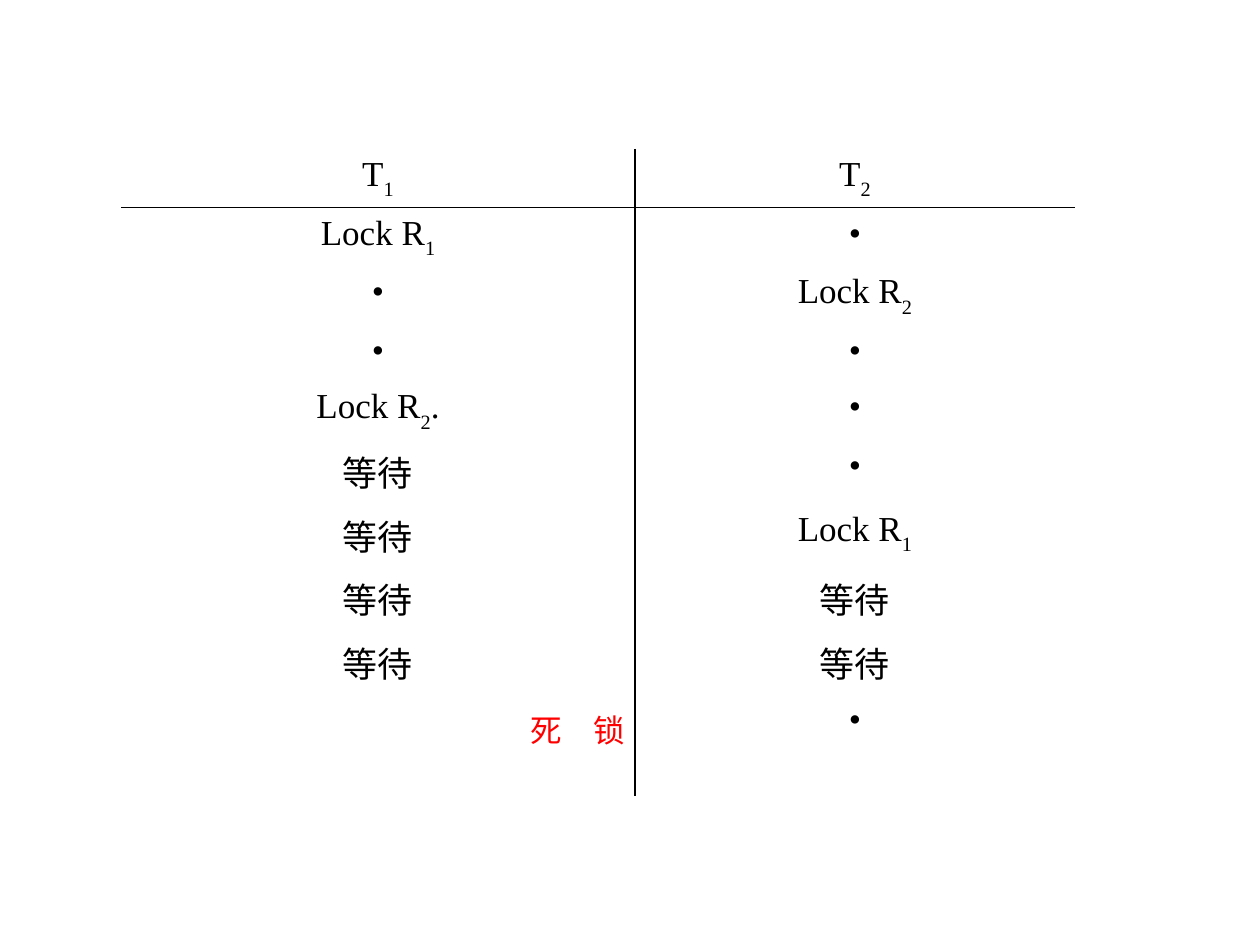
from typing import NamedTuple

from lxml.etree import SubElement
from pptx import Presentation
from pptx.dml.color import RGBColor
from pptx.enum.text import MSO_AUTO_SIZE, PP_ALIGN
from pptx.oxml.ns import qn
from pptx.util import Cm, Pt

BLACK = RGBColor(0, 0, 0)
RED = RGBColor(255, 0, 0)
FONT = "Times New Roman"
HANGING = Cm(0.95)


class Step(NamedTuple):
    text: str = ""
    subscript: str = ""
    suffix: str = ""


DOT = Step("•")
WAIT = Step("等待")
LOCK_R1 = Step("Lock R", "1")
LOCK_R2 = Step("Lock R", "2")

# One row per moment: transaction T1, transaction T2
SCHEDULE = [
    (Step("T", "1"), Step("T", "2")),
    (LOCK_R1, DOT),
    (DOT, LOCK_R2),
    (DOT, DOT),
    (LOCK_R2._replace(suffix="."), DOT),
    (WAIT, DOT),
    (WAIT, LOCK_R1),
    (WAIT, WAIT),
    (WAIT, WAIT),
    (Step(), DOT),
]


def write_step(paragraph, step: Step, size: int, color: RGBColor) -> None:
    paragraph.alignment = PP_ALIGN.CENTER
    properties = paragraph._p.get_or_add_pPr()
    properties.set("marL", str(HANGING))
    properties.set("indent", str(-HANGING))
    paragraph.font.name = FONT
    paragraph.font.size = Pt(size)
    paragraph.font.color.rgb = color
    for part in step:
        if part:
            run = paragraph.add_run()
            run.text = part
            if part is step.subscript:
                run._r.get_or_add_rPr().set("baseline", "-30000")


def set_borders(cell, ruled: set[str]) -> None:
    """Rule the given sides (L, R, T, B) and leave the others open."""
    for side in "LRTB":
        line = SubElement(cell._tc.get_or_add_tcPr(), qn(f"a:ln{side}"), w=str(Pt(1)))
        if side in ruled:
            fill = SubElement(line, qn("a:solidFill"))
            SubElement(fill, qn("a:srgbClr"), val=str(BLACK))
        else:
            SubElement(line, qn("a:noFill"))


def add_schedule(slide) -> None:
    table = slide.shapes.add_table(
        len(SCHEDULE), 2, Cm(2.44), Cm(3), Cm(19.23), Cm(12.24)
    ).table
    table.first_row = table.horz_banding = False
    table.columns[0].width, table.columns[1].width = Cm(10.36), Cm(8.87)
    for row, steps in enumerate(SCHEDULE):
        is_last = row == len(SCHEDULE) - 1
        table.rows[row].height = Cm(2.06 if is_last else 1.13)
        for column, step in enumerate(steps):
            cell = table.cell(row, column)
            ruled = {"R" if column == 0 else "L"}
            if row < 2:
                ruled.add("B" if row == 0 else "T")
            set_borders(cell, ruled)
            cell.fill.background()
            write_step(cell.text_frame.paragraphs[0], step, 20, BLACK)


def add_deadlock_label(slide) -> None:
    frame = slide.shapes.add_textbox(Cm(10.44), Cm(14.2), Cm(2.41), Cm(1.02)).text_frame
    frame.word_wrap = False
    frame.auto_size = MSO_AUTO_SIZE.SHAPE_TO_FIT_TEXT
    write_step(frame.paragraphs[0], Step("死　锁"), 18, RED)


def main() -> None:
    presentation = Presentation()
    presentation.slide_width, presentation.slide_height = Cm(25.4), Cm(19.05)
    slide = presentation.slides.add_slide(presentation.slide_layouts[6])
    add_schedule(slide)
    add_deadlock_label(slide)
    presentation.save("out.pptx")


if __name__ == "__main__":
    main()
